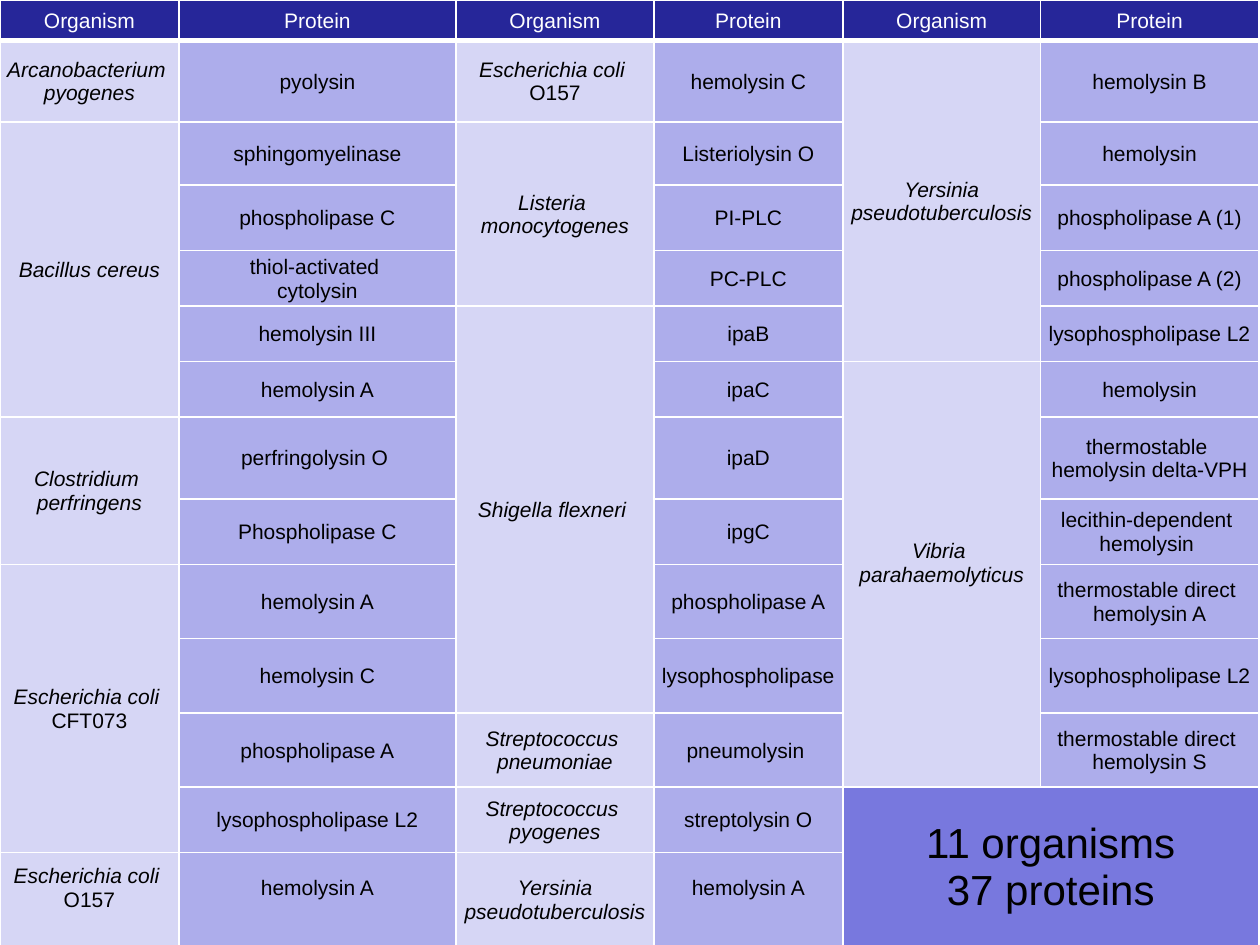
from pptx import Presentation
from pptx.dml.color import RGBColor
from pptx.enum.text import MSO_ANCHOR, PP_ALIGN
from pptx.oxml.ns import qn
from pptx.util import Inches, Pt
from lxml.etree import SubElement

COLORS = {
    "header": "262699",
    "organism": "D6D6F5",
    "protein": "ADADEB",
    "summary": "7878DE",
    "border": "FFFFFF",
    "light": "FFFFFF",
    "dark": "000000",
}
COLUMN_WIDTHS = [1.42, 2.2, 1.57, 1.5, 1.57, 1.73]
ROW_HEIGHTS = [0.32, 0.65, 0.5, 0.52, 0.44, 0.44, 0.44,
               0.65, 0.52, 0.59, 0.59, 0.59, 0.52, 0.74]
RAISED_CELLS = {(6, 4), (13, 0), (13, 1), (13, 3)}
COLUMN_PAIRS = [
    [
        ("Arcanobacterium \npyogenes", ["pyolysin"]),
        ("Bacillus cereus", ["sphingomyelinase", "phospholipase C",
                             "thiol-activated \ncytolysin", "hemolysin III", "hemolysin A"]),
        ("Clostridium \nperfringens", ["perfringolysin O ", "Phospholipase C"]),
        ("Escherichia coli \nCFT073", ["hemolysin A", "hemolysin C",
                                       "phospholipase A", "lysophospholipase L2"]),
        ("Escherichia coli \nO157", ["hemolysin A"]),
    ],
    [
        ("Escherichia coli \nO157", ["hemolysin C"]),
        ("Listeria \nmonocytogenes", ["Listeriolysin O", "PI-PLC", "PC-PLC"]),
        ("Shigella flexneri ", ["ipaB", "ipaC", "ipaD", "ipgC",
                                "phospholipase A", "lysophospholipase"]),
        ("Streptococcus \npneumoniae", ["pneumolysin "]),
        ("Streptococcus \npyogenes", ["streptolysin O"]),
        ("Yersinia pseudotuberculosis", ["hemolysin A"]),
    ],
    [
        ("Yersinia pseudotuberculosis", ["hemolysin B", "hemolysin", "phospholipase A (1)",
                                         "phospholipase A (2)", "lysophospholipase L2"]),
        ("Vibria \nparahaemolyticus", ["hemolysin", "thermostable \nhemolysin delta-VPH",
                                       "lecithin-dependent \nhemolysin ",
                                       "thermostable direct \nhemolysin A",
                                       "lysophospholipase L2",
                                       "thermostable direct \nhemolysin S"]),
    ],
]


class SlideBuilder:
    """Holds the text style and the current slide and adds elements to it."""

    def __init__(self, slide, font="Arial"):
        self.slide = slide
        self.font = font

    def add_grid(self, widths, heights):
        grid = self.slide.shapes.add_table(
            len(heights), len(widths), 0, 0, Inches(10), Inches(7.5)).table
        grid.first_row = grid.horz_banding = False
        for column, width in zip(grid.columns, widths):
            column.width = Inches(width)
        for row, height in zip(grid.rows, heights):
            row.height = Inches(height)
        return grid

    def add_border(self, cell, bottom):
        properties = cell._tc.get_or_add_tcPr()
        for side, weight in {"L": 1, "R": 1, "T": 1, "B": bottom}.items():
            line = SubElement(properties, qn(f"a:ln{side}"), w=str(Pt(weight)))
            paint = SubElement(line, qn("a:solidFill"))
            SubElement(paint, qn("a:srgbClr"), val=COLORS["border"])

    def add_cell(self, grid, row, column, text, role, span=(1, 1), size=12):
        cell = grid.cell(row, column)
        last_row, last_column = row + span[0], column + span[1]
        if span != (1, 1):
            cell.merge(grid.cell(last_row - 1, last_column - 1))
        for r in range(row, last_row):
            for c in range(column, last_column):
                covered = grid.cell(r, c)
                self.add_border(covered, 3 if role == "header" else 1)
                covered.fill.solid()
                covered.fill.fore_color.rgb = RGBColor.from_string(COLORS[role])
        layout = {
            "vertical_anchor": MSO_ANCHOR.MIDDLE,
            "margin_left": Inches(0.04),
            "margin_right": Inches(0.04),
            "margin_top": Inches(0.01),
            "margin_bottom": Inches(0.19 if (row, column) in RAISED_CELLS else 0),
        }
        for name, value in layout.items():
            setattr(cell, name, value)
        cell.text_frame.text = text
        for paragraph in cell.text_frame.paragraphs:
            paragraph.alignment = PP_ALIGN.CENTER
            wording = paragraph.runs[0]
            is_strain = wording.text[-1].isdigit()
            style = {
                "name": self.font,
                "size": Pt(size),
                "bold": False,
                "italic": role == "organism" and not is_strain,
            }
            for name, value in style.items():
                setattr(wording.font, name, value)
            ink = "light" if role == "header" else "dark"
            wording.font.color.rgb = RGBColor.from_string(COLORS[ink])


def main():
    deck = Presentation()
    deck.slide_width, deck.slide_height = Inches(10), Inches(7.5)
    builder = SlideBuilder(deck.slides.add_slide(deck.slide_layouts[6]))
    grid = builder.add_grid(COLUMN_WIDTHS, ROW_HEIGHTS)
    for pair, organisms in enumerate(COLUMN_PAIRS):
        left = 2 * pair
        builder.add_cell(grid, 0, left, "Organism", "header")
        builder.add_cell(grid, 0, left + 1, "Protein", "header")
        row = 1
        for organism, proteins in organisms:
            builder.add_cell(grid, row, left, organism, "organism", (len(proteins), 1))
            for protein in proteins:
                builder.add_cell(grid, row, left + 1, protein, "protein")
                row += 1
    builder.add_cell(grid, 12, 4, "11 organisms\n37 proteins", "summary", (2, 2), 24)
    deck.save("out.pptx")


if __name__ == "__main__":
    main()
